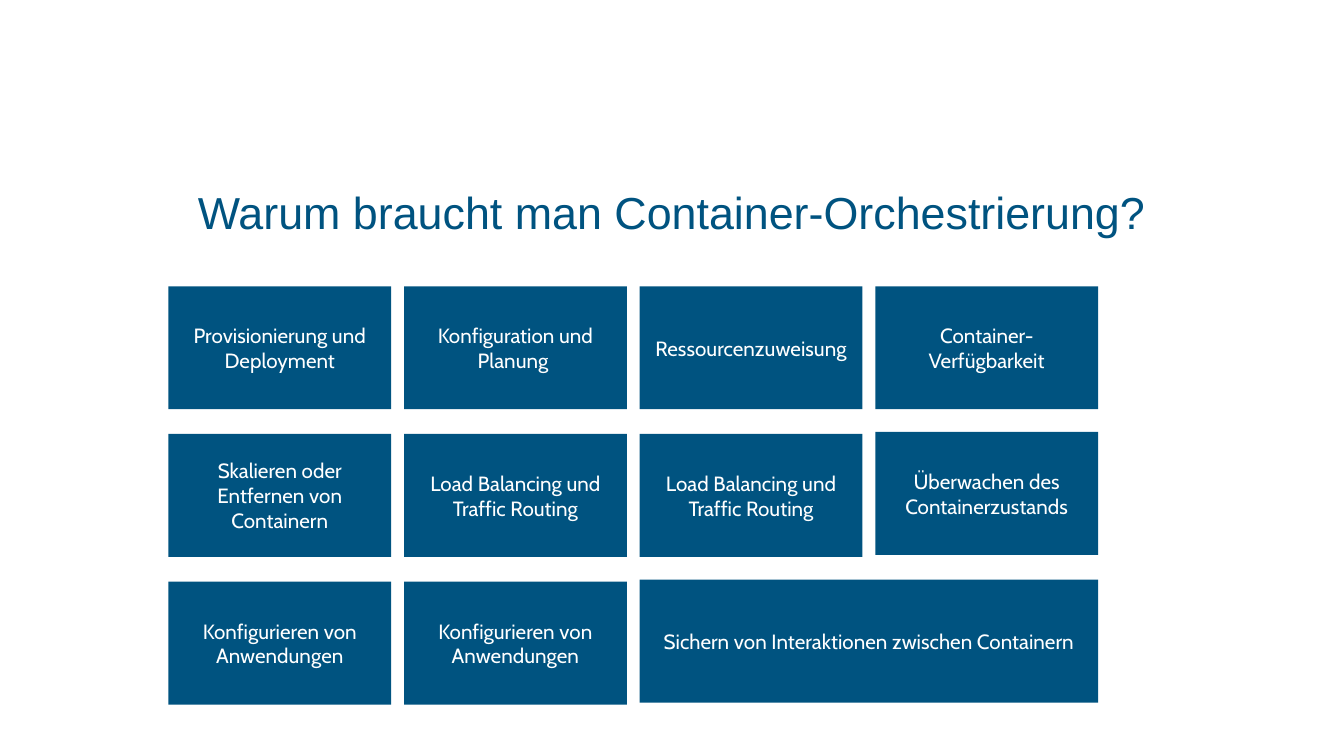
from pptx import Presentation
from pptx.dml.color import RGBColor
from pptx.enum.shapes import MSO_SHAPE
from pptx.enum.text import MSO_ANCHOR, PP_ALIGN
from pptx.util import Inches, Pt

COLORS = {"blue": "005380", "white": "FFFFFF"}

# Grid of tiles, in inches
GRID_LEFT, GRID_TOP = 1.67, 2.84
TILE_WIDTH, TILE_HEIGHT = 2.21, 1.22
COLUMN_STEP, ROW_STEP = 2.337, 1.465
RAISE = 0.02  # the last tile of the lower rows sits slightly higher

# Each tile: text, columns spanned, upward shift
TASK_ROWS = [
    [("Provisionierung und Deployment", 1, 0),
     ("Konfiguration und Planung\u00a0", 1, 0),
     ("Ressourcenzuweisung", 1, 0),
     ("Container-Verfügbarkeit", 1, 0)],
    [("Skalieren oder Entfernen von Containern", 1, 0),
     ("Load Balancing und Traffic Routing", 1, 0),
     ("Load Balancing und Traffic Routing", 1, 0),
     ("Überwachen des Containerzustands", 1, RAISE)],
    [("Konfigurieren von Anwendungen", 1, 0),
     ("Konfigurieren von Anwendungen", 1, 0),
     ("Sichern von Interaktionen zwischen Containern", 2, RAISE)],
]


def write_text(shape, text, *, font, size, color, margins=(0, 0)):
    """Fill a shape with one centred paragraph."""
    frame = shape.text_frame
    frame.word_wrap = True
    frame.vertical_anchor = MSO_ANCHOR.MIDDLE
    frame.margin_left = frame.margin_right = Inches(margins[0])
    frame.margin_top = frame.margin_bottom = Inches(margins[1])
    paragraph = frame.paragraphs[0]
    paragraph.alignment = PP_ALIGN.CENTER
    run = paragraph.add_run()
    run.text = text
    run.font.name = font
    run.font.size = Pt(size)
    run.font.color.rgb = RGBColor.from_string(COLORS[color])


def set_title(slide, text):
    title = slide.shapes.title
    title.left, title.top = Inches(0.67), Inches(1.81)
    title.width, title.height = Inches(11.99), Inches(0.58)
    write_text(title, text, font="Arial", size=32, color="blue")


def add_tile(slide, row, column, text, span, shift):
    tile = slide.shapes.add_shape(
        MSO_SHAPE.RECTANGLE,
        Inches(GRID_LEFT + column * COLUMN_STEP),
        Inches(GRID_TOP + row * ROW_STEP - shift),
        Inches(TILE_WIDTH + (span - 1) * COLUMN_STEP),
        Inches(TILE_HEIGHT))
    tile.shadow.inherit = False
    tile.fill.solid()
    tile.fill.fore_color.rgb = RGBColor.from_string(COLORS["blue"])
    tile.line.fill.background()
    write_text(tile, text, font="Cabin", size=14.7, color="white",
               margins=(0.13, 0.07))


def main():
    presentation = Presentation()
    presentation.slide_width = Inches(13.33)
    presentation.slide_height = Inches(7.5)
    slide = presentation.slides.add_slide(presentation.slide_layouts[5])

    # Title
    set_title(slide, "Warum braucht man Container-Orchestrierung?")

    # Orchestration tasks
    for row, tasks in enumerate(TASK_ROWS):
        for column, (text, span, shift) in enumerate(tasks):
            add_tile(slide, row, column, text, span, shift)

    presentation.save("out.pptx")


main()
